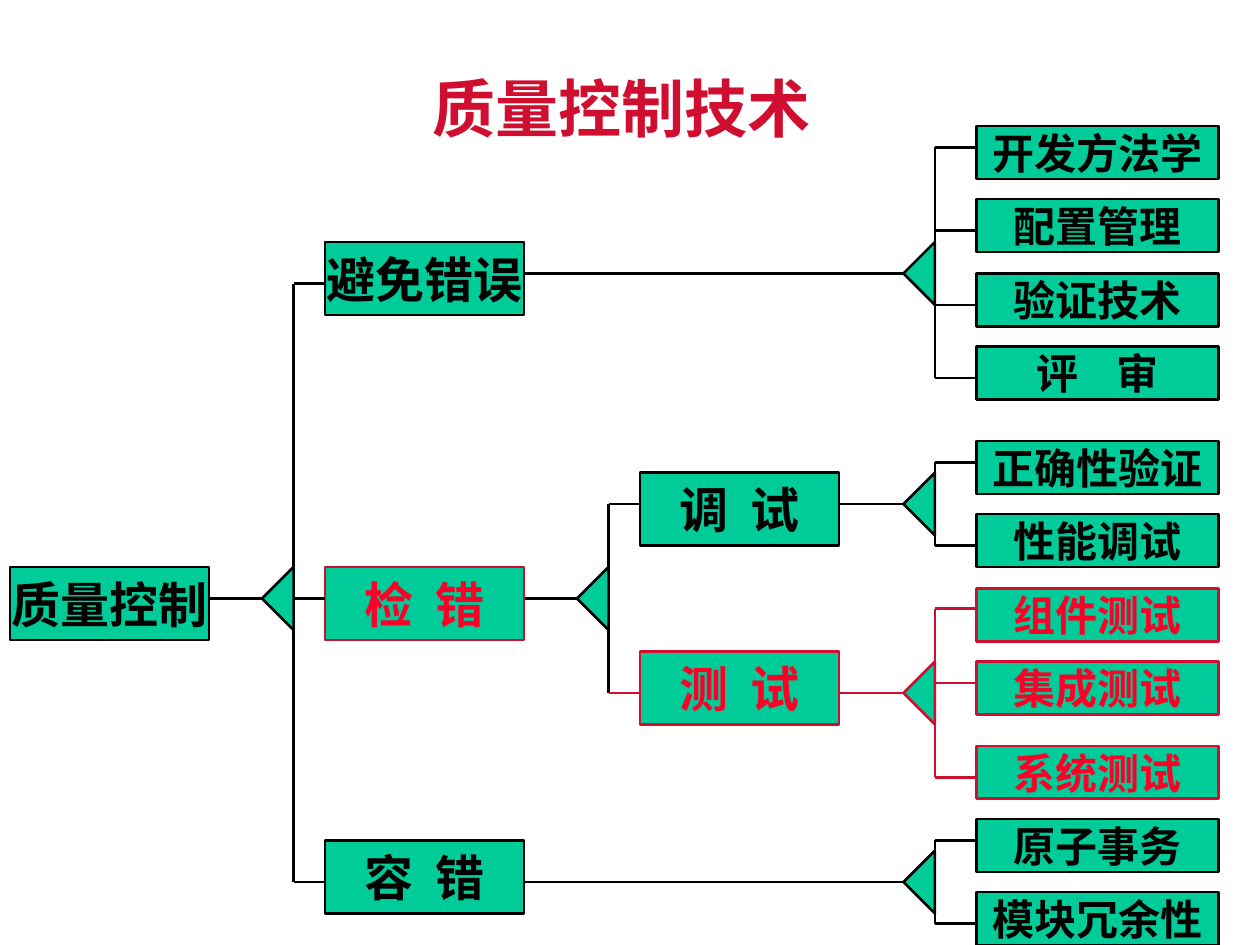
from lxml import etree
from pptx import Presentation
from pptx.dml.color import RGBColor
from pptx.enum import shapes, text
from pptx.oxml import ns
from pptx.util import Inches, Pt

BLACK, GREEN, CRIMSON, RED = "000000", "00CC99", "CF0E30", "FC0128"


def rgb(value):
    return RGBColor.from_string(value)


def draw_line(x1, y1, x2, y2, color):
    line = slide.shapes.add_connector(
        shapes.MSO_CONNECTOR.STRAIGHT, Inches(x1), Inches(y1), Inches(x2), Inches(y2))
    line.line.color.rgb = rgb(color)
    line.line.width = Pt(1.5)
    etree.SubElement(line._element.spPr, ns.qn("a:effectLst"))


prs = Presentation()
prs.slide_width, prs.slide_height = Inches(10), Inches(7.5)
slide = prs.slides.add_slide(prs.slide_layouts[5])

title = slide.shapes.title
title.left, title.top, title.width, title.height = map(Inches, (3.33, 0.5, 3.67, 0.7))
title.text_frame.text = "质量控制技术"
title.text_frame.auto_size = text.MSO_AUTO_SIZE.NONE
title.text_frame.vertical_anchor = text.MSO_ANCHOR.MIDDLE
heading = title.text_frame.paragraphs[0]
heading.alignment = text.PP_ALIGN.LEFT
heading.font.size = Pt(36)
heading.font.bold = True
heading.font.color.rgb = rgb(CRIMSON)
heading.font.name = "Noto Sans CJK JP"
etree.SubElement(heading.font._rPr, ns.qn("a:ea"), typeface="Noto Sans CJK JP")

# Column: left, width, height, text size, extra letter spacing around a gap (1/100 pt),
# then its boxes as (label, top, highlighted)
columns = [
    (0.08, 1.58, 0.58, 28, 310, [("质量控制", 4.5, False)]),
    (2.58, 1.58, 0.58, 28, 310, [
        ("避免错误", 1.92, False), ("检 错", 4.5, True), ("容 错", 6.67, False)]),
    (5.08, 1.58, 0.58, 28, 310, [("调 试", 3.75, False), ("测 试", 5.17, True)]),
    (7.75, 1.92, 0.42, 24, 800, [
        ("开发方法学", 1, False), ("配置管理", 1.58, False),
        ("验证技术", 2.17, False), ("评 审", 2.75, False),
        ("正确性验证", 3.5, False), ("性能调试", 4.08, False),
        ("组件测试", 4.67, True), ("集成测试", 5.25, True), ("系统测试", 5.92, True),
        ("原子事务", 6.5, False), ("模块冗余性", 7.08, False)]),
]
for left, width, height, size, spacing, boxes in columns:
    for label, top, highlighted in boxes:
        box = slide.shapes.add_shape(
            shapes.MSO_SHAPE.RECTANGLE,
            Inches(left), Inches(top), Inches(width), Inches(height))
        box.shadow.inherit = False
        box.fill.solid()
        box.fill.fore_color.rgb = rgb(GREEN)
        box.line.color.rgb = rgb(CRIMSON if highlighted else BLACK)
        box.line.width = Pt(1.5)
        box.text_frame.word_wrap = False
        box.text_frame.vertical_anchor = text.MSO_ANCHOR.MIDDLE
        paragraph = box.text_frame.paragraphs[0]
        paragraph.alignment = text.PP_ALIGN.CENTER
        first, gap, second = label.partition(" ")
        opening = paragraph.add_run()
        opening.text = first + gap
        if gap:
            opening.font._rPr.set("spc", str(spacing))
            paragraph.add_run().text = second
        paragraph.font.size = Pt(size)
        paragraph.font.bold = True
        paragraph.font.color.rgb = rgb(RED if highlighted else BLACK)
        paragraph.font.name = "Noto Sans CJK SC"
        etree.SubElement(paragraph.font._rPr, ns.qn("a:ea"), typeface="Noto Sans CJK SC")

# Fork: stem start, trunk x, branch end, stem y, colour, branches as (y, colour)
forks = [
    (1.67, 2.33, 2.58, 4.75, BLACK, [(2.25, BLACK), (4.75, BLACK), (7, BLACK)]),
    (4.17, 4.83, 5.08, 4.75, BLACK, [(4, BLACK), (5.5, CRIMSON)]),
    (4.17, 7.42, 7.75, 2.17, BLACK,
     [(1.17, BLACK), (1.83, BLACK), (2.42, BLACK), (3, BLACK)]),
    (6.67, 7.42, 7.75, 4, BLACK, [(3.67, BLACK), (4.33, BLACK)]),
    (6.67, 7.42, 7.75, 5.5, CRIMSON,
     [(4.83, CRIMSON), (5.42, CRIMSON), (6.17, CRIMSON)]),
    (4.17, 7.42, 7.75, 7, BLACK, [(6.67, BLACK), (7.33, BLACK)]),
]
base, depth = 0.5, 0.25
for start, trunk, end, middle, color, branches in forks:
    draw_line(trunk, branches[0][0], trunk, branches[-1][0], color)
    for y, branch_color in branches:
        draw_line(trunk, y, end, y, branch_color)
    # Rotated about its centre so that the tip points left and the base lies on the trunk
    arrow = slide.shapes.add_shape(
        shapes.MSO_SHAPE.ISOSCELES_TRIANGLE,
        Inches(trunk - depth / 2 - base / 2), Inches(middle - depth / 2),
        Inches(base), Inches(depth))
    arrow.rotation = 270
    arrow.shadow.inherit = False
    arrow.fill.solid()
    arrow.fill.fore_color.rgb = rgb(GREEN)
    arrow.line.color.rgb = rgb(color)
    arrow.line.width = Pt(1.5)
    draw_line(start, middle, trunk - depth, middle, color)

prs.save("out.pptx")
